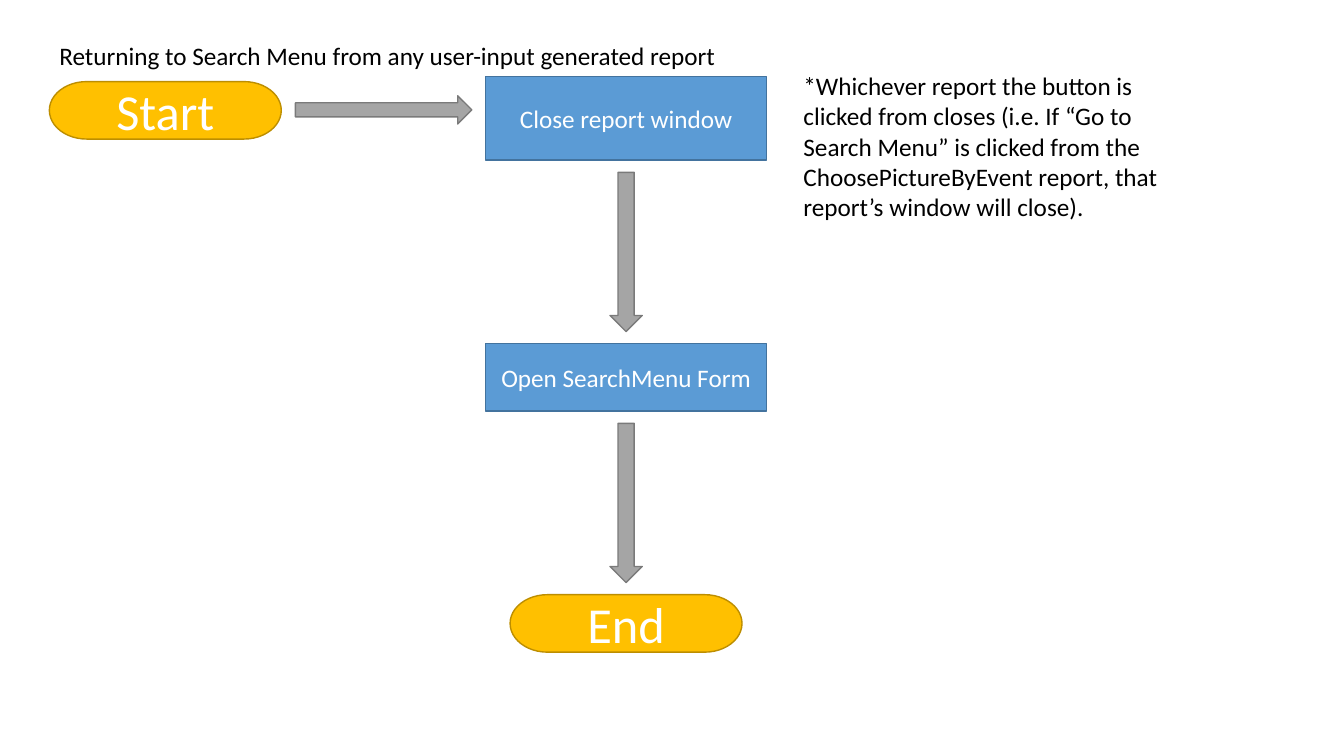
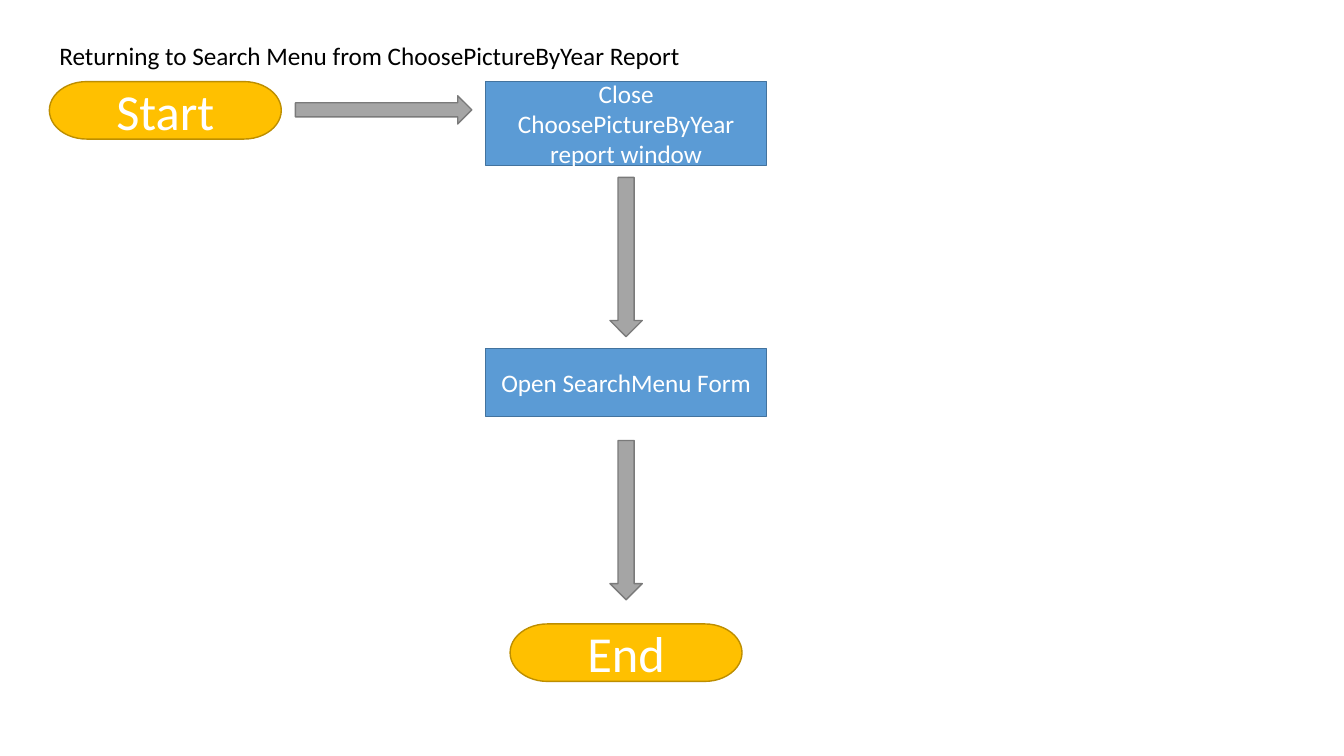
from pptx import Presentation
from pptx.dml.color import RGBColor
from pptx.enum.shapes import MSO_SHAPE
from pptx.enum.text import MSO_ANCHOR, MSO_AUTO_SIZE, PP_ALIGN
from pptx.util import Inches, Pt

COLORS = {
    "terminator": "FFC000",
    "terminator_line": "BD8E00",
    "process": "5B9BD5",
    "process_line": "43739E",
    "arrow": "A5A5A5",
    "arrow_line": "7A7A7A",
    "light": "FFFFFF",
    "dark": "000000",
}
FONT = "Calibri"
LEFT_MARGIN = 0.49
COLUMN_CENTER = 6.21
TERMINATOR_WIDTH, TERMINATOR_HEIGHT = 2.3, 0.57
PROCESS_WIDTH = 2.79
ARROW_WIDTH, ARROW_LENGTH = 0.32, 1.58
GAP = 0.12


class Flowchart:
    def __init__(self, presentation):
        self.presentation = presentation
        self.slide = None

    def new_slide(self):
        self.slide = self.presentation.slides.add_slide(self.presentation.slide_layouts[6])

    def style_text(self, text_frame, text, size, color):
        text_frame.text = text
        font = text_frame.paragraphs[0].runs[0].font
        font.name = FONT
        font.size = Pt(size)
        font.color.rgb = RGBColor.from_string(COLORS[color])

    def block(self, kind, style, left, top, width, height, text="", size=18):
        shape = self.slide.shapes.add_shape(
            kind, Inches(left), Inches(top), Inches(width), Inches(height))
        shape.shadow.inherit = False
        shape.fill.solid()
        shape.fill.fore_color.rgb = RGBColor.from_string(COLORS[style])
        shape.line.color.rgb = RGBColor.from_string(COLORS[style + "_line"])
        shape.line.width = Pt(1)
        if text:
            self.style_text(shape.text_frame, text, size, "light")
            shape.text_frame.word_wrap = True
            shape.text_frame.vertical_anchor = MSO_ANCHOR.MIDDLE
            shape.text_frame.paragraphs[0].alignment = PP_ALIGN.CENTER

    def terminator(self, text, left, top):
        self.block(MSO_SHAPE.FLOWCHART_TERMINATOR, "terminator", left, top,
                   TERMINATOR_WIDTH, TERMINATOR_HEIGHT, text, 36)

    def process(self, text, top, height):
        self.block(MSO_SHAPE.RECTANGLE, "process", COLUMN_CENTER - PROCESS_WIDTH / 2, top,
                   PROCESS_WIDTH, height, text)

    def right_arrow(self):
        self.block(MSO_SHAPE.RIGHT_ARROW, "arrow", 2.93, 0.95, 1.75, 0.28)

    def down_arrow(self, top):
        self.block(MSO_SHAPE.DOWN_ARROW, "arrow", COLUMN_CENTER - ARROW_WIDTH / 2, top,
                   ARROW_WIDTH, ARROW_LENGTH)

    def text(self, text, left, top, width, height, wrap):
        box = self.slide.shapes.add_textbox(
            Inches(left), Inches(top), Inches(width), Inches(height))
        self.style_text(box.text_frame, text, 18, "dark")
        box.text_frame.word_wrap = wrap
        box.text_frame.auto_size = MSO_AUTO_SIZE.SHAPE_TO_FIT_TEXT

    def flow(self, title, title_width, close_text, top, end_gap):
        self.new_slide()
        self.text(title, LEFT_MARGIN, 0.35, title_width, 0.4, False)
        self.terminator("Start", LEFT_MARGIN, 0.81)
        self.right_arrow()
        steps = [(close_text, 0.83, GAP), ("Open SearchMenu Form", 0.67, end_gap)]
        for step, height, gap in steps:
            self.process(step, top, height)
            self.down_arrow(top + height + gap)
            top += height + ARROW_LENGTH + 2 * gap
        self.terminator("End", COLUMN_CENTER - TERMINATOR_WIDTH / 2, top)


def main():
    presentation = Presentation()
    presentation.slide_width = Inches(13.33)
    presentation.slide_height = Inches(7.5)
    flowchart = Flowchart(presentation)

    flowchart.flow("Returning to Search Menu from any user-input generated report", 6.8,
                   "Close report window", 0.76, GAP)
    flowchart.text(
        "*Whichever report the button is clicked from closes (i.e. If “Go to Search Menu” "
        "is clicked from the ChoosePictureByEvent report, that report’s window will close).",
        7.87, 0.65, 4.05, 1.62, True)

    flowchart.flow("Returning to Search Menu from ChoosePictureByYear Report", 6.43,
                   "Close ChoosePictureByYear report window", 0.81, 2 * GAP)

    presentation.save("out.pptx")


if __name__ == "__main__":
    main()
